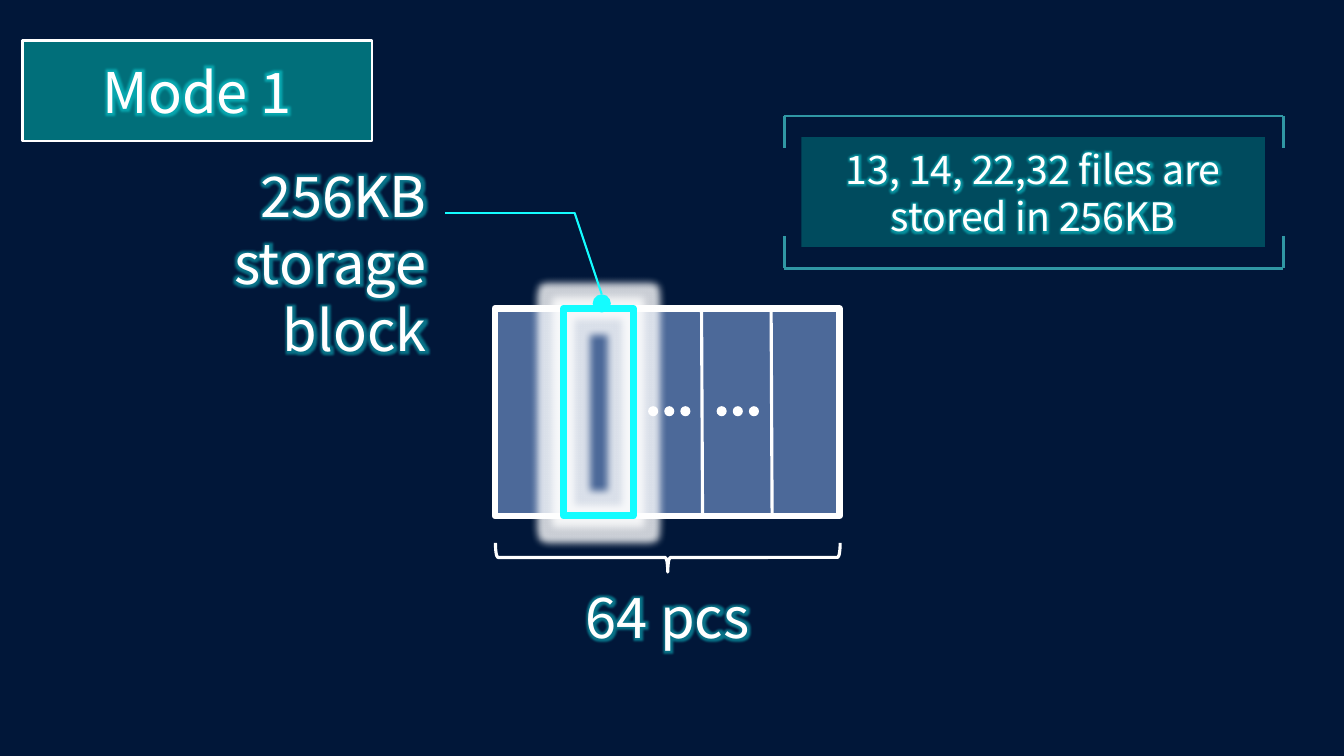
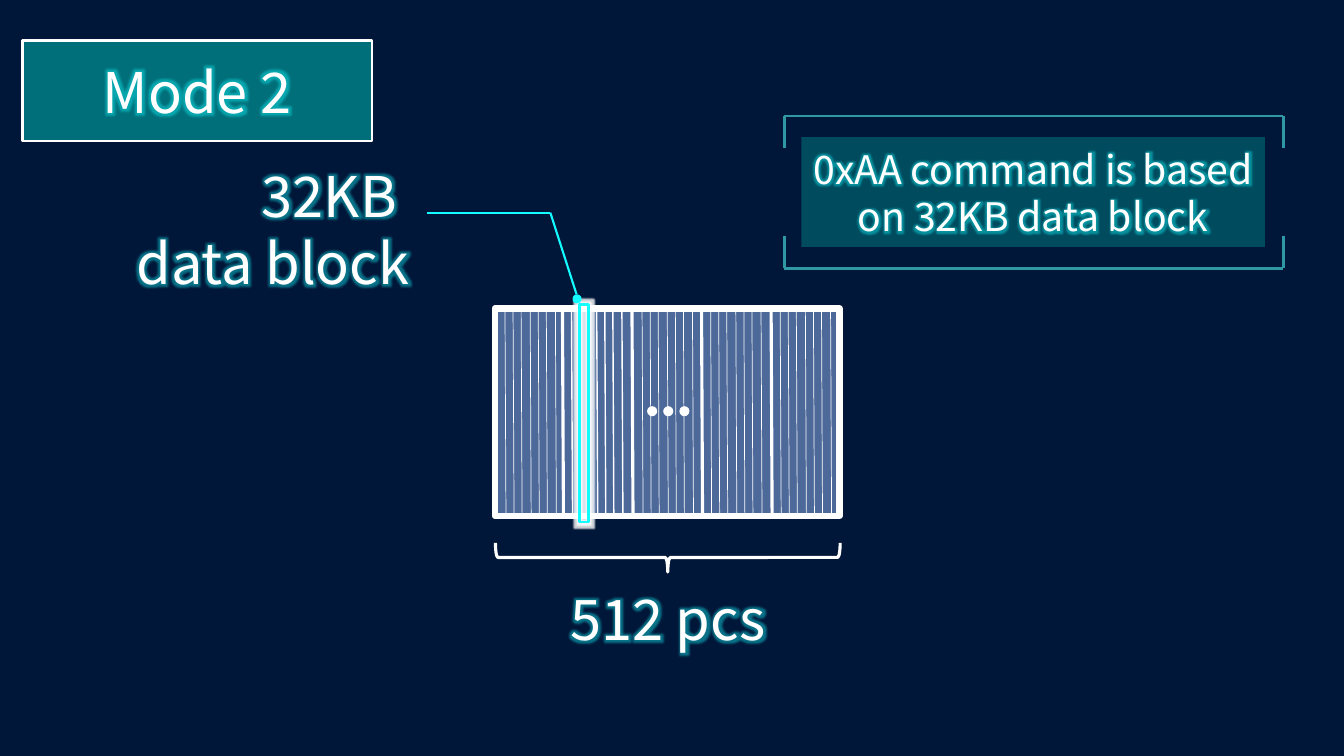
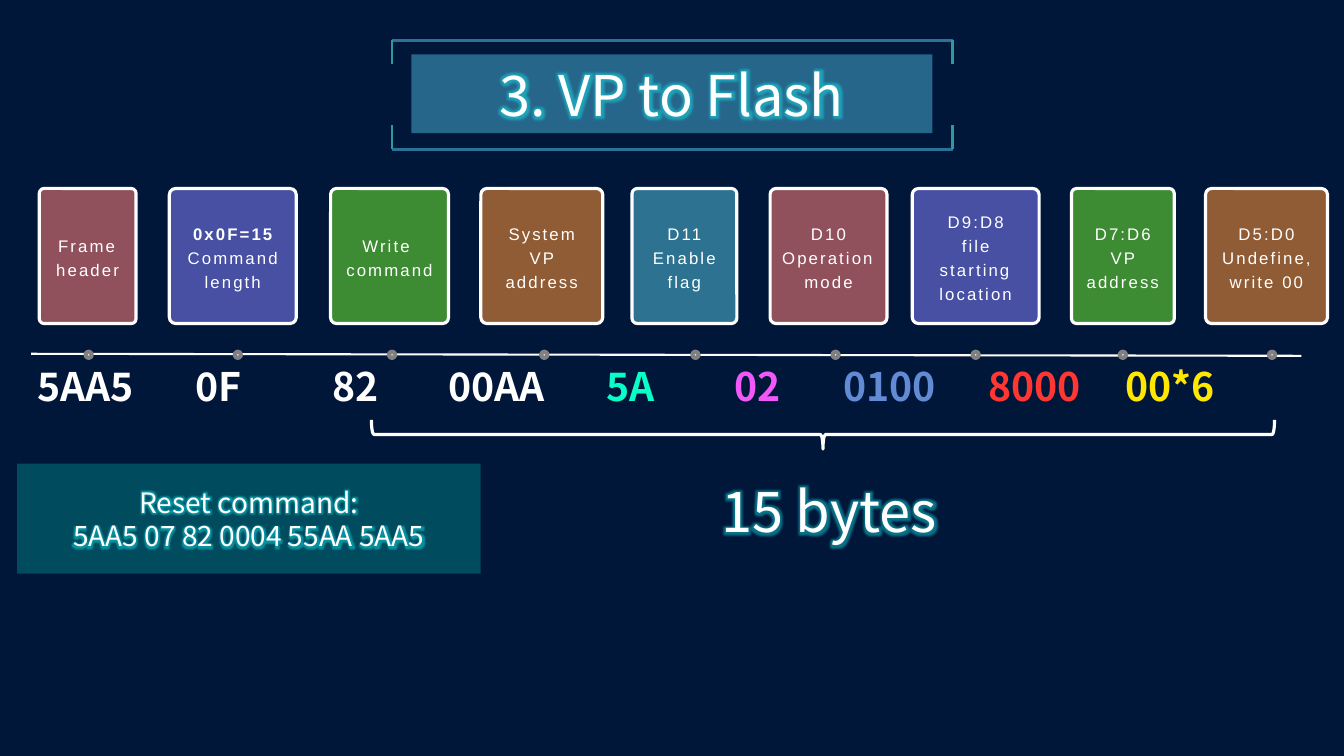
"""Build three slides on flash storage modes and the VP-to-flash command."""
from lxml.etree import SubElement
from pptx import Presentation
from pptx.dml.color import RGBColor
from pptx.enum.shapes import MSO_CONNECTOR, MSO_SHAPE
from pptx.enum.text import MSO_ANCHOR, MSO_AUTO_SIZE, PP_ALIGN
from pptx.oxml.ns import qn
from pptx.util import Pt

PX = 9144
RECT, ROUND, OVAL = MSO_SHAPE.RECTANGLE, MSO_SHAPE.ROUNDED_RECTANGLE, MSO_SHAPE.OVAL
BRACE, STRAIGHT = MSO_SHAPE.LEFT_BRACE, MSO_CONNECTOR.STRAIGHT
LEFT, CENTER, RIGHT = PP_ALIGN.LEFT, PP_ALIGN.CENTER, PP_ALIGN.RIGHT
NOTO, ARIAL = "Noto Sans CJK SC", "Arial"
C = {
    "bg": "011739", "white": "FFFFFF", "cyan": "14FCFF", "block": "4C6999",
    "frame": "3097A4", "note": "005364", "mode": "016F7A", "banner": "2C7196",
    "rose": "90515D", "indigo": "4750A2", "green": "3D8C33", "brown": "905C35",
    "teal": "2D7391", "dot": "F2F2F2", "gray": "808080", "mint": "08FFC8",
    "pink": "F258F8", "blue": "638BD5", "red": "FF3631", "yellow": "FFE702",
}


def add_shape(s, kind, box, fill=None, line=None, width=1, alpha=100, glow=0):
    """Add a preset shape, or style the slide title when kind is None."""
    box = [v * PX for v in box]
    sp = s.shapes.add_shape(kind, *box) if kind else s.shapes.title
    sp.left, sp.top, sp.width, sp.height = box
    sp.shadow.inherit = False
    if fill:
        sp.fill.solid()
        sp.fill.fore_color.rgb = RGBColor.from_string(C[fill])
        color = sp.element.spPr.find(qn("a:solidFill"))[0]
        SubElement(color, qn("a:alpha"), val=str(alpha * 1000))
    else:
        sp.fill.background()
    if line:
        sp.line.color.rgb = RGBColor.from_string(C[line])
        sp.line.width = Pt(width)
    else:
        sp.line.fill.background()
    if glow:
        effects = sp.element.spPr.find(qn("a:effectLst"))
        halo = SubElement(effects, qn("a:glow"), rad=str(Pt(glow)))
        color = SubElement(halo, qn("a:srgbClr"), val=C["white"])
        SubElement(color, qn("a:alpha"), val="80000")
    return sp


def add_line(s, x1, y1, x2, y2, color, width):
    """Add a straight line without a shadow."""
    ln = s.shapes.add_connector(STRAIGHT, x1 * PX, y1 * PX, x2 * PX, y2 * PX)
    ln.line.color.rgb = RGBColor.from_string(C[color])
    ln.line.width = Pt(width)
    SubElement(ln._element.spPr, qn("a:effectLst"))


prs = Presentation()
prs.slide_width, prs.slide_height = 12192000, 6858000
fill = prs.slide_master.background.fill
fill.solid()
fill.fore_color.rgb = RGBColor.from_string(C["bg"])
mode1, mode2, flash = [prs.slides.add_slide(prs.slide_layouts[5]) for _ in range(3)]
texts = []

titles = [
    (mode1, "Mode 1", (22, 40, 347, 100), "mode", "white", 100),
    (mode2, "Mode 2", (22, 40, 347, 100), "mode", "white", 100),
    (flash, "3. VP to Flash", (408, 54, 517, 78), "banner", None, 88),
]
for s, title, box, fill, line, alpha in titles:
    sp = add_shape(s, None, box, fill, line, 2, alpha)
    sp.text_frame.vertical_anchor = MSO_ANCHOR.MIDDLE
    texts.append((sp, [title], 40, CENTER, "white", 0, NOTO))

frames = [
    (mode1, 778, 115, 1273, 266, 32, "frame"),
    (mode2, 778, 115, 1273, 266, 32, "frame"),
    (flash, 389, 40, 945, 148, 24, "banner"),
]
for s, left, top, right, bottom, arm, color in frames:
    for y, end in (top, top + arm), (bottom, bottom - arm):
        add_line(s, left, y, right, y, color, 2)
        for x in left, right:
            add_line(s, x, y, x, end, "frame", 2)

notes = [
    (mode1, 795, 136, ["13, 14, 22,32 files are stored in 256KB"], 28),
    (mode2, 795, 136, ["0xAA command is based on 32KB data block"], 28),
    (flash, 17, 460, ["Reset command:", "5AA5 07 82 0004 55AA 5AA5"], 20),
]
for s, x, y, lines, size in notes:
    sp = add_shape(s, RECT, (x, y, 460, 109), "note", alpha=88)
    texts.append((sp, lines, size, CENTER, "white", 0, NOTO))

for s in mode1, mode2:
    add_shape(s, RECT, (491, 306, 342, 206), "block", "white", 4.5)
    for i in range(4):
        add_line(s, 559 + 69 * i, 512, 558 + 69 * i, 306, "white", 2.25)
for start, width in (502, 0.5), (568, 1), (638, 0.5), (706, 0.5), (775, 0.5):
    for i in range(7):
        x = start + 50 * i // 6
        add_line(mode2, x, 513, x - 1, 307, "white", width)
add_shape(mode1, RECT, (559, 306, 69, 206), None, "cyan", 5, glow=11)
add_shape(mode2, RECT, (575, 302, 9, 216), None, "cyan", 2, glow=2)
for s, start in (mode1, 643), (mode1, 711), (mode2, 642):
    for i in range(3):
        add_shape(s, OVAL, (start + 16 * i, 403, 10, 10), "white")

for s, start, bend, tip, size in (mode1, 442, 570, 597, 18), (mode2, 424, 546, 572, 9):
    add_shape(s, OVAL, (tip - size // 2, 292, size, size), "cyan")
    add_line(s, tip, 292, bend, 211, "cyan", 1.5)
    add_line(s, start, 211, bend, 211, "cyan", 1.5)

for s, x, y, length in (mode1, 648, 382, 342), (mode2, 648, 382, 342), (flash, 802, -17, 896):
    add_shape(s, BRACE, (x, y, 29, length), None, "white", 2.25).rotation = 270

labels = [
    (mode1, (172, 155, 261, 210), ["256KB storage block"], RIGHT),
    (mode2, (72, 155, 344, 145), ["32KB ", "data block"], RIGHT),
    (mode1, (521, 573, 283, 77), ["64 pcs"], CENTER),
    (mode2, (521, 575, 283, 77), ["512 pcs"], CENTER),
    (flash, (681, 468, 283, 77), ["15 bytes"], CENTER),
]
for s, box, lines, align in labels:
    sp = s.shapes.add_textbox(*[v * PX for v in box])
    texts.append((sp, lines, 40, align, "white", 0, NOTO))

fields = [
    (39, 96, "rose", ["Frame header"], 0, 85, 27, "5AA5", "white"),
    (168, 126, "indigo", ["0x0F=15", "Command", "length"], 1, 233, 184, "0F", "white"),
    (328, 117, "green", ["Write ", "command"], 0, 386, 320, "82", "white"),
    (477, 121, "brown", ["System", "VP", "address"], 0, 537, 435, "00AA", "white"),
    (627, 104, "teal", ["D11", "Enable", "flag"], 0, 687, 592, "5A", "mint"),
    (764, 116, "rose", ["D10", "Operation mode"], 0, 826, 719, "02", "pink"),
    (905, 126, "indigo", ["D9:D8", "file", "starting location"], 0, 965, 827, "0100", "blue"),
    (1063, 102, "green", ["D7:D6", "VP", "address"], 0, 1111, 971, "8000", "red"),
    (1196, 121, "brown", ["D5:D0", "Undefine,", "write 00"], 0, 1259, 1107, "00*6", "yellow"),
]
add_line(flash, 31, 351, 1291, 353, "white", 1.5)
for x, w, fill, lines, bold, dot, code_x, code, color in fields:
    card = add_shape(flash, ROUND, (x, 187, w, 134), fill, "white", 2.25)
    card.adjustments[0] = 0.05
    texts.append((card, lines, 12, CENTER, "white", bold, ARIAL))
    add_shape(flash, OVAL, (dot, 349, 6, 6), "dot", "gray", 3)
    sp = flash.shapes.add_textbox(code_x * PX, 355 * PX, 140 * PX, 57 * PX)
    texts.append((sp, [code], 28, LEFT, color, 1, NOTO))

for sp, lines, size, align, color, bold_lines, font in texts:
    tf = sp.text_frame
    tf.word_wrap = True
    tf.auto_size = MSO_AUTO_SIZE.NONE
    for i, line in enumerate(lines):
        p = tf.add_paragraph() if i else tf.paragraphs[0]
        p.alignment = align
        p.line_spacing = 1.2 if font == ARIAL else Pt(size * 1.2)
        r = p.add_run()
        r.text = line
        r.font.size = Pt(size)
        r.font.bold = i < bold_lines
        r.font.name = font
        r.font.color.rgb = RGBColor.from_string(C[color])
        rPr = r.font._element
        if font == ARIAL:
            rPr.set("spc", "150")
            continue
        SubElement(rPr, qn("a:ea"), typeface=font)
        if not bold_lines:
            effects = SubElement(rPr, qn("a:effectLst"))
            halo = SubElement(effects, qn("a:glow"), rad=str(Pt(8)))
            tint = SubElement(halo, qn("a:srgbClr"), val=C["cyan"])
            SubElement(tint, qn("a:alpha"), val="40000")
            rPr.find(qn("a:solidFill")).addnext(effects)

prs.save("out.pptx")
